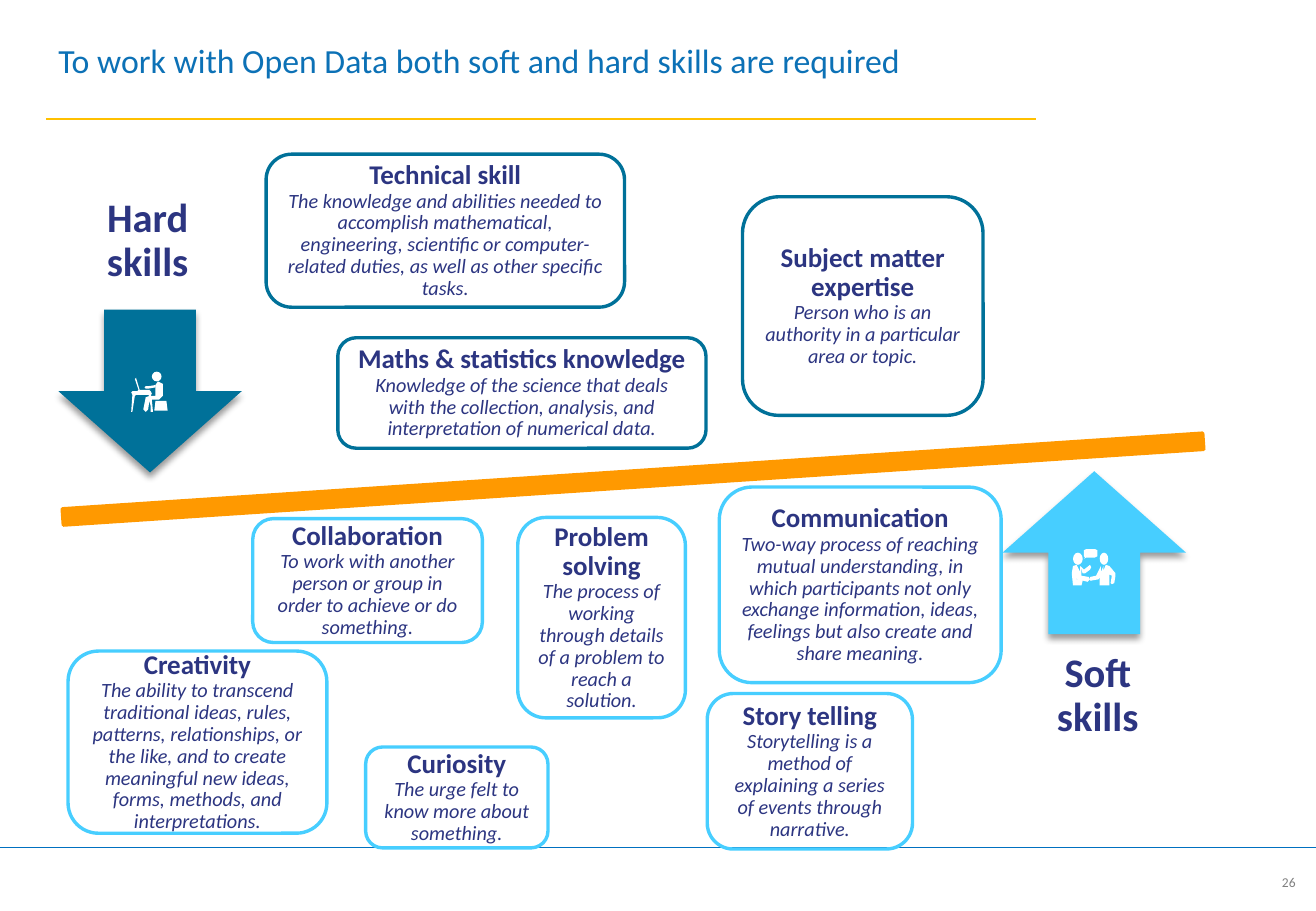
from dataclasses import dataclass

from lxml import etree
from pptx import Presentation
from pptx.dml.color import RGBColor
from pptx.enum.shapes import MSO_CONNECTOR, MSO_SHAPE
from pptx.enum.text import MSO_ANCHOR, PP_ALIGN
from pptx.oxml.ns import qn
from pptx.shapes.autoshape import Shape
from pptx.slide import Slide
from pptx.text.text import _Paragraph
from pptx.util import Inches, Pt

ROUNDED, OVAL, MINUS = MSO_SHAPE.ROUNDED_RECTANGLE, MSO_SHAPE.OVAL, MSO_SHAPE.MATH_MINUS
DOWN, UP = MSO_SHAPE.DOWN_ARROW, MSO_SHAPE.UP_ARROW
STRAIGHT = MSO_CONNECTOR.STRAIGHT
TOP, MIDDLE = MSO_ANCHOR.TOP, MSO_ANCHOR.MIDDLE
LEFT, CENTER = PP_ALIGN.LEFT, PP_ALIGN.CENTER

WIDTH, HEIGHT = Inches(10.83), Inches(7.5)
ICON_CELL = HEIGHT // 750
FONT = "Calibri"
COLORS = {
    "title": "0C71B6", "text": "2C3581", "number": "808080", "white": "FFFFFF",
    "hard": "007199", "soft": "47CEFF", "bar": "FF9900",
    "rule": "FFC000", "footer": "0070C0", "shadow": "000000",
}


@dataclass(frozen=True)
class Area:
    """Place and size in percent of the slide's width and height."""
    left: float
    top: float
    width: float
    height: float

    def emu(self) -> tuple[int, int, int, int]:
        return (across(self.left), down(self.top), across(self.width), down(self.height))


@dataclass(frozen=True)
class Skill:
    area: Area
    side: str
    name: str
    detail: str
    filled: bool = False


@dataclass(frozen=True)
class Label:
    area: Area
    text: str
    size: int
    color: str
    bold: bool = False
    align: int = LEFT
    anchor: int = MIDDLE
    inset: float = 0.92
    spacing: float = 1.0


@dataclass(frozen=True)
class Rule:
    left: float
    right: float
    top: float
    color: str
    weight: float


@dataclass(frozen=True)
class Arrow:
    area: Area
    kind: int
    side: str


@dataclass(frozen=True)
class Icon:
    """Heads and outlines are counted in icon cells from the icon's corner."""
    left: float
    top: float
    heads: list[tuple[int, int, int, int]]
    outlines: list[list[tuple[int, int]]]


RULES = [Rule(0, 100, 93.07, "footer", 0.75), Rule(3.51, 78.76, 13.07, "rule", 1.5)]
LABELS = [
    Label(Area(3.51, 0, 71.28, 13.07),
          "To work with Open Data both soft and hard skills are required", 20, "title"),
    Label(Area(96.49, 95.33, 3.32, 2.8), "26", 8, "number", anchor=TOP),
    Label(Area(3.79, 17.07, 14.87, 18.8), "Hard skills", 24, "text", True, CENTER,
          inset=3.05, spacing=0.9),
    Label(Area(75.99, 67.07, 14.87, 18.8), "Soft skills", 24, "text", True, CENTER,
          inset=3.05, spacing=0.9),
]
ARROWS = [
    Arrow(Area(4.43, 34, 13.94, 17.87), DOWN, "hard"),
    Arrow(Area(76.18, 51.73, 13.94, 17.87), UP, "soft"),
]
DESK_ICON = Icon(9.97, 40.8, [(17, 0, 8, 8)], [
    [(12, 33), (14, 31), (15, 24), (16, 28), (16, 33), (18, 33), (17, 23), (23, 23),
     (26, 20), (26, 10), (22, 8), (20, 11), (20, 20), (16, 20), (17, 18), (16, 16),
     (1, 16), (0, 17), (1, 19), (0, 33), (1, 33), (3, 20), (4, 19), (14, 19),
     (15, 20), (12, 21), (10, 31)],
    [(5, 16), (15, 16), (16, 15), (7, 15), (4, 5), (3, 6), (6, 15)],
    [(20, 11), (14, 12), (12, 12), (11, 13), (12, 14), (14, 14), (20, 13)],
    [(19, 32), (30, 32), (29, 24), (20, 24)],
])
TALK_ICON = Icon(81.35, 60.27, [(2, 3, 8, 10), (24, 3, 7, 10)], [
    [(12, 7), (11, 8), (13, 7), (20, 7), (22, 6), (22, 1), (20, 0), (13, 0),
     (11, 1), (11, 6)],
    [(5, 24), (6, 25), (14, 27), (16, 25), (15, 23), (9, 22), (9, 16), (8, 14),
     (8, 19), (5, 13), (2, 14), (1, 20), (2, 30), (9, 30), (10, 26), (5, 25)],
    [(10, 20), (12, 20), (16, 17), (17, 15), (16, 13), (11, 17), (8, 14)],
    [(34, 22), (33, 28), (34, 29), (36, 28), (37, 22), (37, 20), (32, 14), (29, 13),
     (27, 18), (27, 14), (25, 19), (25, 14), (21, 22), (16, 23), (16, 26), (17, 26),
     (23, 25), (24, 23), (24, 30), (32, 30), (32, 21)],
])
SKILLS = [
    Skill(Area(56.42, 21.6, 18.28, 24), "hard", "Subject matter expertise",
          "Person who is an authority in a particular area or topic."),
    Skill(Area(25.67, 37.07, 27.98, 12.13), "hard", "Maths & statistics knowledge",
          "Knowledge of the science that deals with the collection, analysis, and "
          "interpretation of numerical data."),
    Skill(Area(20.22, 16.93, 27.24, 16.8), "hard", "Technical skill",
          "The knowledge and abilities needed to accomplish mathematical, engineering, "
          "scientific or computer-related duties, as well as other specific tasks."),
    Skill(Area(39.34, 56.8, 12.74, 22), "soft", "Problem solving",
          "The process of working through details of a problem to reach a solution.", True),
    Skill(Area(53.74, 76.13, 15.6, 17.07), "soft", "Story telling",
          "Storytelling is a method of explaining a series of events through narrative."),
    Skill(Area(19.21, 56.93, 17.45, 13.6), "soft", "Collaboration",
          "To work with another person or group in order to achieve or do something."),
    Skill(Area(27.79, 82, 13.85, 11.07), "soft", "Curiosity",
          "The urge felt to know more about something."),
    Skill(Area(54.66, 53.47, 21.42, 21.47), "soft", "Communication",
          "Two-way process of reaching mutual understanding, in which participants not only "
          "exchange information, ideas, feelings but also create and share meaning.", True),
    Skill(Area(5.17, 71.47, 19.67, 20), "soft", "Creativity",
          "The ability to transcend traditional ideas, rules, patterns, relationships, or the "
          "like, and to create meaningful new ideas, forms, methods, and interpretations."),
]
BAR = Area(-10.99, 48.8, 118.19, 7.6)


def across(share: float) -> int:
    return round(WIDTH * share / 100)


def down(share: float) -> int:
    return round(HEIGHT * share / 100)


def color(name: str) -> RGBColor:
    return RGBColor.from_string(COLORS[name])


def paint(shape: Shape, fill: str | None, line: str | None = None) -> None:
    shape.shadow.inherit = False
    if fill:
        shape.fill.solid()
        shape.fill.fore_color.rgb = color(fill)
    else:
        shape.fill.background()
    if line:
        shape.line.color.rgb = color(line)
        shape.line.width = Pt(2)
    else:
        shape.line.fill.background()


def set_font(para: _Paragraph, size: int, name: str) -> None:
    para.font.name, para.font.size = FONT, Pt(size)
    para.font.color.rgb = color(name)


def add_rule(page: Slide, rule: Rule) -> None:
    line = page.shapes.add_connector(
        STRAIGHT, across(rule.left), down(rule.top), across(rule.right), down(rule.top))
    line.line.color.rgb = color(rule.color)
    line.line.width = Pt(rule.weight)
    etree.SubElement(line._element.spPr, qn("a:effectLst"))


def add_label(page: Slide, label: Label) -> None:
    frame = page.shapes.add_textbox(*label.area.emu()).text_frame
    frame.word_wrap, frame.vertical_anchor = True, label.anchor
    frame.margin_left = frame.margin_right = across(label.inset)
    para = frame.paragraphs[0]
    para.text, para.alignment, para.line_spacing = label.text, label.align, label.spacing
    set_font(para, label.size, label.color)
    para.font.bold = label.bold


def add_arrow(page: Slide, arrow: Arrow) -> None:
    shape = page.shapes.add_shape(arrow.kind, *arrow.area.emu())
    paint(shape, arrow.side)
    effects = shape._element.spPr.find(qn("a:effectLst"))
    shadow = etree.SubElement(effects, qn("a:outerShdw"), blurRad=str(Pt(4)),
                              dist=str(Pt(3)), dir="5400000", rotWithShape="0")
    tint = etree.SubElement(shadow, qn("a:srgbClr"), val=COLORS["shadow"])
    etree.SubElement(tint, qn("a:alpha"), val="40000")


def add_icon(page: Slide, icon: Icon) -> None:
    left, top = across(icon.left), down(icon.top)
    for x, y, width, height in icon.heads:
        paint(page.shapes.add_shape(OVAL, left + x * ICON_CELL, top + y * ICON_CELL,
                                    width * ICON_CELL, height * ICON_CELL), "white")
    for start, *points in icon.outlines:
        builder = page.shapes.build_freeform(*start, scale=ICON_CELL)
        builder.add_line_segments(points)
        paint(builder.convert_to_shape(left, top), "white")


def add_skill(page: Slide, skill: Skill) -> None:
    box = page.shapes.add_shape(ROUNDED, *skill.area.emu())
    paint(box, "white" if skill.filled else None, skill.side)
    box.text_frame.word_wrap, box.text_frame.vertical_anchor = True, MIDDLE
    para = box.text_frame.paragraphs[0]
    para.alignment, para.line_spacing, para.space_after = CENTER, 0.9, Pt(4)
    set_font(para, 16, "text")
    name = para.add_run()
    name.text, name.font.bold = skill.name, True
    para.add_line_break()
    detail = para.add_run()
    detail.text, detail.font.size, detail.font.italic = skill.detail, Pt(12), True


def main() -> None:
    """Build the slide on hard and soft skills for open data."""
    deck = Presentation()
    deck.slide_width, deck.slide_height = WIDTH, HEIGHT
    page = deck.slides.add_slide(deck.slide_layouts[6])
    for draw, items in ((add_rule, RULES), (add_label, LABELS), (add_arrow, ARROWS),
                        (add_icon, (DESK_ICON, TALK_ICON)), (add_skill, SKILLS)):
        for item in items:
            draw(page, item)
    bar = page.shapes.add_shape(MINUS, *BAR.emu())
    bar.rotation = 356.2
    paint(bar, "bar", "bar")
    deck.save("out.pptx")


if __name__ == "__main__":
    main()
